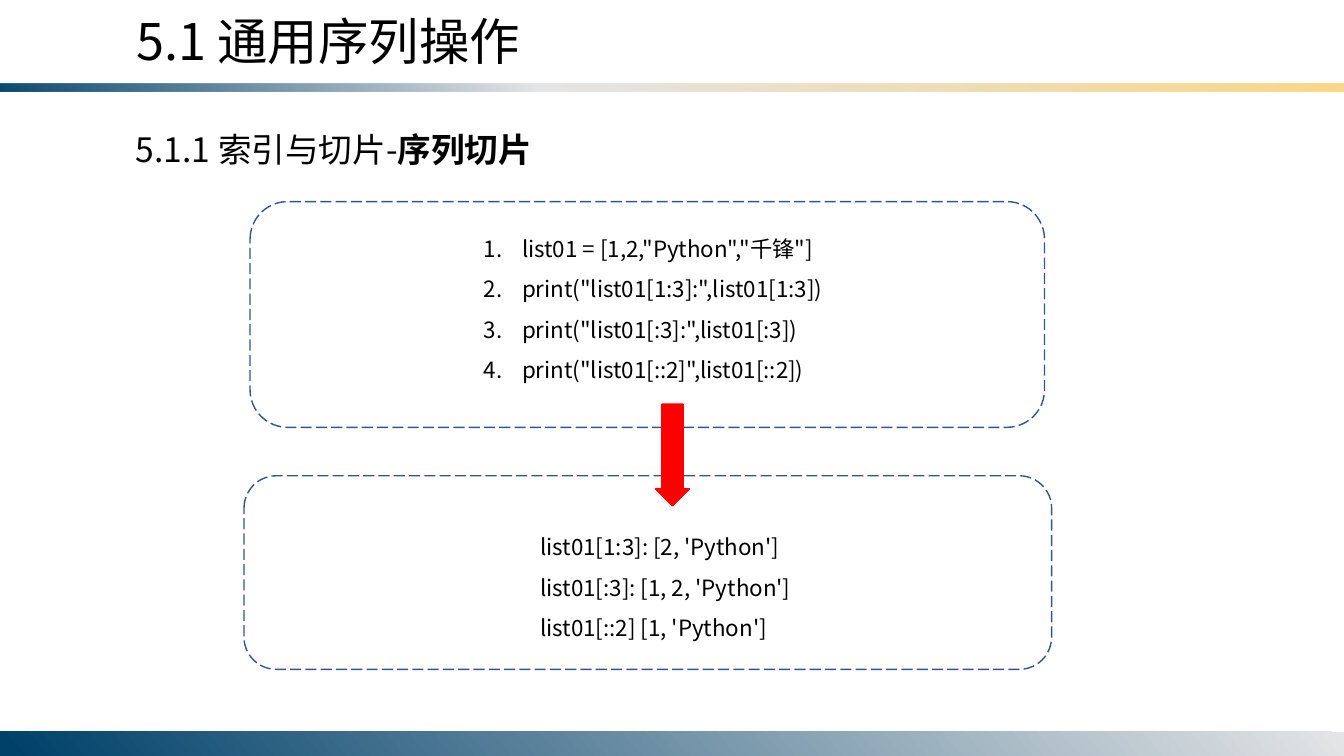
"""Build the slide on sequence slicing: code box, arrow and output box."""
from lxml import etree
from pptx import Presentation
from pptx.dml.color import RGBColor
from pptx.enum.dml import MSO_LINE
from pptx.enum.shapes import MSO_SHAPE
from pptx.enum.text import MSO_ANCHOR, MSO_AUTO_SIZE, PP_ALIGN
from pptx.oxml.ns import qn
from pptx.util import Inches, Pt

RECT, ROUNDED, DOWN_ARROW = MSO_SHAPE.RECTANGLE, MSO_SHAPE.ROUNDED_RECTANGLE, MSO_SHAPE.DOWN_ARROW
DASH = MSO_LINE.LONG_DASH
FIT, TOP, LEFT = MSO_AUTO_SIZE.SHAPE_TO_FIT_TEXT, MSO_ANCHOR.TOP, PP_ALIGN.LEFT
FONT = "Noto Sans CJK SC"
BLACK, BLUE, RED = "000000", "325491", "FF0000"
NAVY, SILVER, GOLD = "00416A", "E4E5E6", "FBD786"

TITLE = [[("5.1 通用序列操作", False)]]
SUBTITLE = [[("5.1.1 索引与切片-", False), ("序列切片", True)]]
CODE = [
    'list01 = [1,2,"Python","千锋"]',
    'print("list01[1:3]:",list01[1:3])',
    'print("list01[:3]:",list01[:3])',
    'print("list01[::2]",list01[::2])',
]
OUTPUT = [
    "list01[1:3]: [2, 'Python']",
    "list01[:3]: [1, 2, 'Python']",
    "list01[::2] [1, 'Python']",
]
BARS = [
    ((0, 0.83, 13.33, 0.08), [(0, NAVY, 95), (40, SILVER, 100), (100, GOLD, 100)], 50, True),
    ((0, 7.26, 13.33, 0.24), [(0, SILVER, 100), (99, NAVY, 100)], 140, False),
]
CODE_FRAME = (2.48, 2, 7.88, 2.24)
OUTPUT_FRAME = (2.42, 4.72, 8.01, 1.92)
ARROW = (6.5, 4.01, 0.34, 1.01)


def color(value):
    return RGBColor.from_string(value)


def inches(box):
    return [Inches(length) for length in box]


def add_outline(slide, kind, box, line=None, dash=None):
    shape = slide.shapes.add_shape(kind, *inches(box))
    shape.shadow.inherit = False
    shape.fill.background()
    if line:
        shape.line.color.rgb = color(line)
        shape.line.width = Pt(1)
        shape.line.dash_style = dash
    else:
        shape.line.fill.background()
    return shape


def add_bar(slide, box, stops, angle, flipped):
    properties = add_outline(slide, RECT, box)._element.spPr
    gradient = etree.Element(qn("a:gradFill"), rotWithShape="1")
    stop_list = etree.SubElement(gradient, qn("a:gsLst"))
    for position, value, alpha in stops:
        stop = etree.SubElement(stop_list, qn("a:gs"), pos=str(position * 1000))
        shade = etree.SubElement(stop, qn("a:srgbClr"), val=value)
        if alpha < 100:
            etree.SubElement(shade, qn("a:alpha"), val=str(alpha * 1000))
    etree.SubElement(gradient, qn("a:lin"), ang=str(angle * 60000), scaled="0")
    properties.replace(properties.find(qn("a:noFill")), gradient)
    if flipped:
        properties.find(qn("a:xfrm")).set("flipV", "1")


def number(paragraph):
    properties = paragraph._p.get_or_add_pPr()
    indent = Inches(0.38)
    properties.set("marL", str(indent))
    properties.set("indent", str(-indent))
    etree.SubElement(properties, qn("a:buFont"), typeface="+mj-lt")
    etree.SubElement(properties, qn("a:buAutoNum"), type="arabicPeriod")


def write(shape, box, paragraphs, size, spacing=1, numbered=False):
    shape.left, shape.top, shape.width, shape.height = inches(box)
    frame = shape.text_frame
    for name, value in {"word_wrap": True, "auto_size": FIT, "vertical_anchor": TOP}.items():
        setattr(frame, name, value)
    for index, runs in enumerate(paragraphs):
        paragraph = frame.add_paragraph() if index else frame.paragraphs[0]
        paragraph.alignment = LEFT
        paragraph.line_spacing = spacing
        if numbered:
            number(paragraph)
        for text, bold in runs:
            run = paragraph.add_run()
            run.text = text
            for name, value in {"name": FONT, "size": Pt(size), "bold": bold}.items():
                setattr(run.font, name, value)
            run.font.color.rgb = color(BLACK)
            etree.SubElement(run._r.get_or_add_rPr(), qn("a:ea"), typeface=FONT)


def add_text(slide, box, *content, **options):
    write(slide.shapes.add_textbox(*inches(box)), box, *content, **options)


def plain(lines):
    return [[(line, False)] for line in lines]


def main():
    deck = Presentation()
    deck.slide_width, deck.slide_height = Inches(13.33), Inches(7.5)
    slide = deck.slides.add_slide(deck.slide_layouts[5])
    for bar in BARS:
        add_bar(slide, *bar)
    write(slide.shapes.title, (1.25, 0.05, 6.12, 0.71), TITLE, 36)
    add_text(slide, (1.25, 1.23, 4.14, 0.5), SUBTITLE, 24)
    add_text(slide, (4.7, 2.15, 3.93, 1.72), plain(CODE), 16, spacing=1.5, numbered=True)
    add_outline(slide, ROUNDED, CODE_FRAME, BLUE, DASH)
    add_text(slide, (5.26, 5.11, 2.82, 1.31), plain(OUTPUT), 16, spacing=1.5)
    add_outline(slide, ROUNDED, OUTPUT_FRAME, BLUE, DASH)
    arrow = add_outline(slide, DOWN_ARROW, ARROW, RED)
    arrow.fill.solid()
    arrow.fill.fore_color.rgb = color(RED)
    arrow.adjustments[0] = 0.62
    deck.save("out.pptx")


if __name__ == "__main__":
    main()
